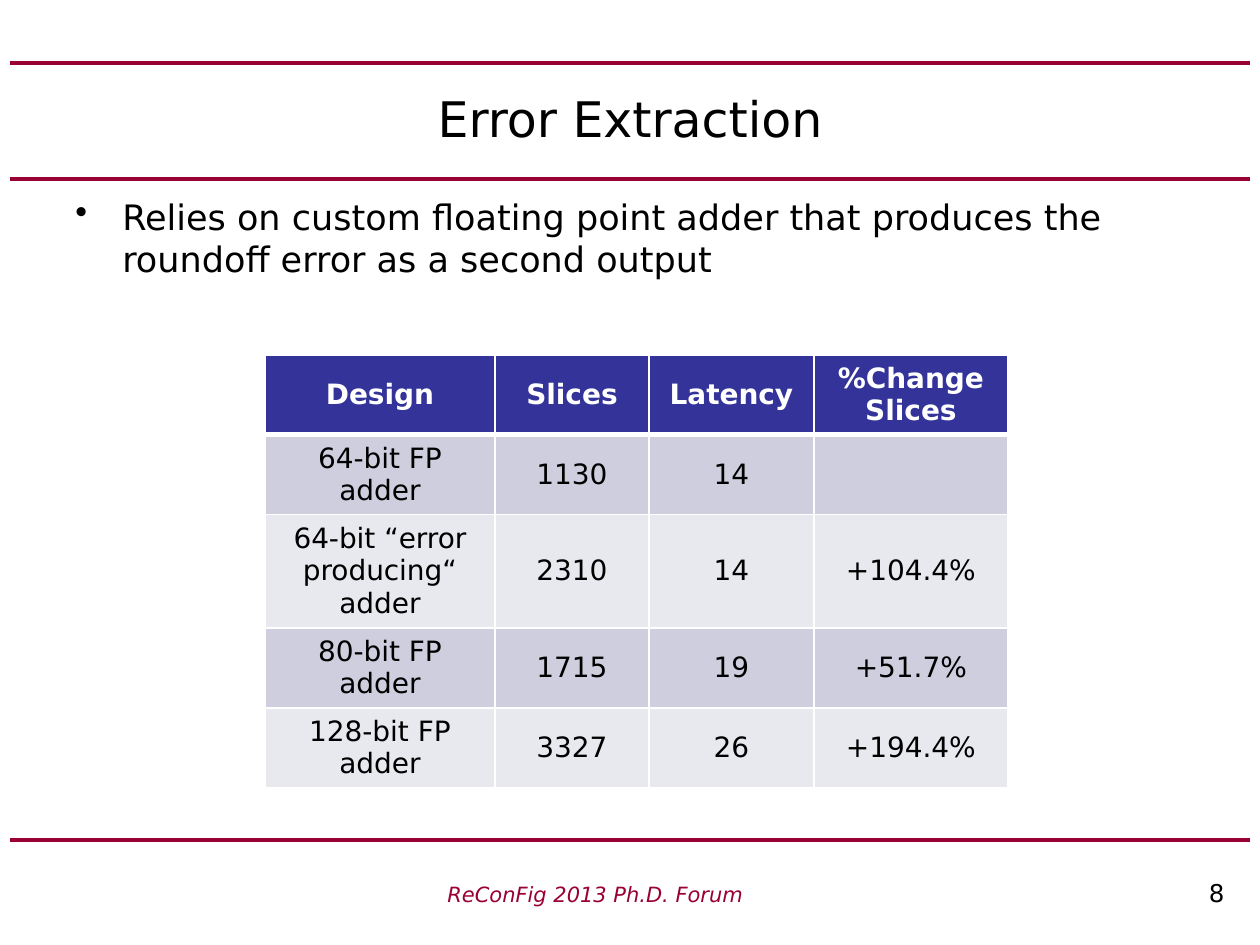
from dataclasses import dataclass

from lxml import etree
from pptx import Presentation
from pptx import util as u
from pptx.dml import color
from pptx.enum import shapes, text
from pptx.oxml import ns

PX = 914400 // 126


@dataclass(frozen=True)
class Theme:
    """Colours, type sizes and font of the slide."""
    font: str = "DejaVu Sans"
    ink: str = "000000"
    rule: str = "990033"
    white: str = "FFFFFF"
    head: str = "333399"
    bands: tuple = ("CECEDE", "E8E8EF")
    title: int = 28
    body: int = 20
    cell: int = 16
    page: int = 14
    foot: int = 12


T = Theme()
ROWS = [
    ["Design", "Slices", "Latency", "%Change\nSlices"],
    ["64-bit FP adder", "1130", "14", ""],
    ["64-bit “error producing“ adder", "2310", "14", "+104.4%"],
    ["80-bit FP adder", "1715", "19", "+51.7%"],
    ["128-bit FP adder", "3327", "26", "+194.4%"],
]
COLS = [230, 154, 165, 194]
HIGHS = [77, 77, 109, 77, 77]


def px(n):
    """Turn picture pixels into EMU."""
    return u.Emu(n * PX)


def rgb(code):
    """Make a colour from its hex code."""
    return color.RGBColor.from_string(code)


def sub(node, tag, **attrs):
    """Add a drawing element to a node."""
    return etree.SubElement(node, ns.qn(tag), **attrs)


def style(run, size, ink=T.ink, bold=False, slant=False):
    """Set the font of a run."""
    font = run.font
    font.name, font.size = T.font, u.Pt(size)
    font.bold, font.italic = bold, slant
    font.color.rgb = rgb(ink)


def rule(slide, y):
    """Draw a line across the slide."""
    line = slide.shapes.add_connector(
        shapes.MSO_CONNECTOR.STRAIGHT, px(10), px(y), px(1250), px(y))
    line.line.color.rgb = rgb(T.rule)
    line.line.width = u.Pt(2.25)
    sub(line.element.spPr, "a:effectLst")


def label(slide, box, words, size, align=text.PP_ALIGN.LEFT,
          anchor=text.MSO_ANCHOR.TOP):
    """Add a wrapped text box and return its paragraph."""
    frame = slide.shapes.add_textbox(*map(px, box)).text_frame
    frame.word_wrap = True
    frame.vertical_anchor = anchor
    frame.text = words
    para = frame.paragraphs[0]
    para.alignment = align
    style(para.runs[0], size)
    return para


def bullet(para):
    """Give a paragraph a hanging bullet."""
    para.space_after = u.Pt(6)
    props = para._p.get_or_add_pPr()
    props.set("marL", str(px(47)))
    props.set("indent", str(px(-47)))
    sub(props, "a:buChar", char="•")


def footer(slide):
    """Add the forum name and, at a right tab, the page number."""
    para = label(slide, (435, 872, 804, 42),
                 "ReConFig 2013 Ph.D. Forum\t", T.foot)
    style(para.runs[0], T.foot, T.rule, slant=True)
    page = para.add_run()
    page.text = "8"
    style(page, T.page)
    tabs = sub(para._p.get_or_add_pPr(), "a:tabLst")
    sub(tabs, "a:tab", pos=str(px(777)), algn="r")


def edge(cell, low):
    """Draw white borders round a cell, the lower one as wide as given."""
    props = cell._tc.get_or_add_tcPr()
    wide = {"a:lnL": 1, "a:lnR": 1, "a:lnT": 1, "a:lnB": low}
    for spot, (tag, width) in enumerate(wide.items()):
        line = sub(props, tag, w=str(u.Pt(width)))
        sub(sub(line, "a:solidFill"), "a:srgbClr", val=T.white)
        props.insert(spot, line)


def fill(cell, words, row):
    """Write and colour one table cell."""
    head = row == 0
    cell.text = words
    cell.vertical_anchor = text.MSO_ANCHOR.MIDDLE
    cell.fill.solid()
    cell.fill.fore_color.rgb = rgb(T.head if head else T.bands[(row - 1) % 2])
    for para in cell.text_frame.paragraphs:
        para.alignment = text.PP_ALIGN.CENTER
        for run in para.runs:
            style(run, T.cell, T.white if head else T.ink, bold=head)
    edge(cell, 3 if head else 1)


def grid(slide, left, top):
    """Add the table of adder designs."""
    table = slide.shapes.add_table(
        len(ROWS), len(COLS), px(left), px(top),
        px(sum(COLS)), px(sum(HIGHS))).table
    for col, wide in zip(table.columns, COLS):
        col.width = px(wide)
    for r, (line, high) in enumerate(zip(ROWS, HIGHS)):
        table.rows[r].height = px(high)
        for c, words in enumerate(line):
            fill(table.cell(r, c), words, r)


def main():
    """Build the slide and save it."""
    deck = Presentation()
    deck.slide_width, deck.slide_height = px(1260), px(945)
    slide = deck.slides.add_slide(deck.slide_layouts[6])
    for y in (840, 179, 63):
        rule(slide, y)
    label(slide, (63, 63, 1134, 110), "Error Extraction", T.title,
          text.PP_ALIGN.CENTER, text.MSO_ANCHOR.MIDDLE)
    bullet(label(slide, (63, 189, 1134, 126),
                 "Relies on custom floating point adder that produces "
                 "the roundoff error as a second output", T.body))
    grid(slide, 265, 355)
    footer(slide)
    deck.save("out.pptx")


main()
